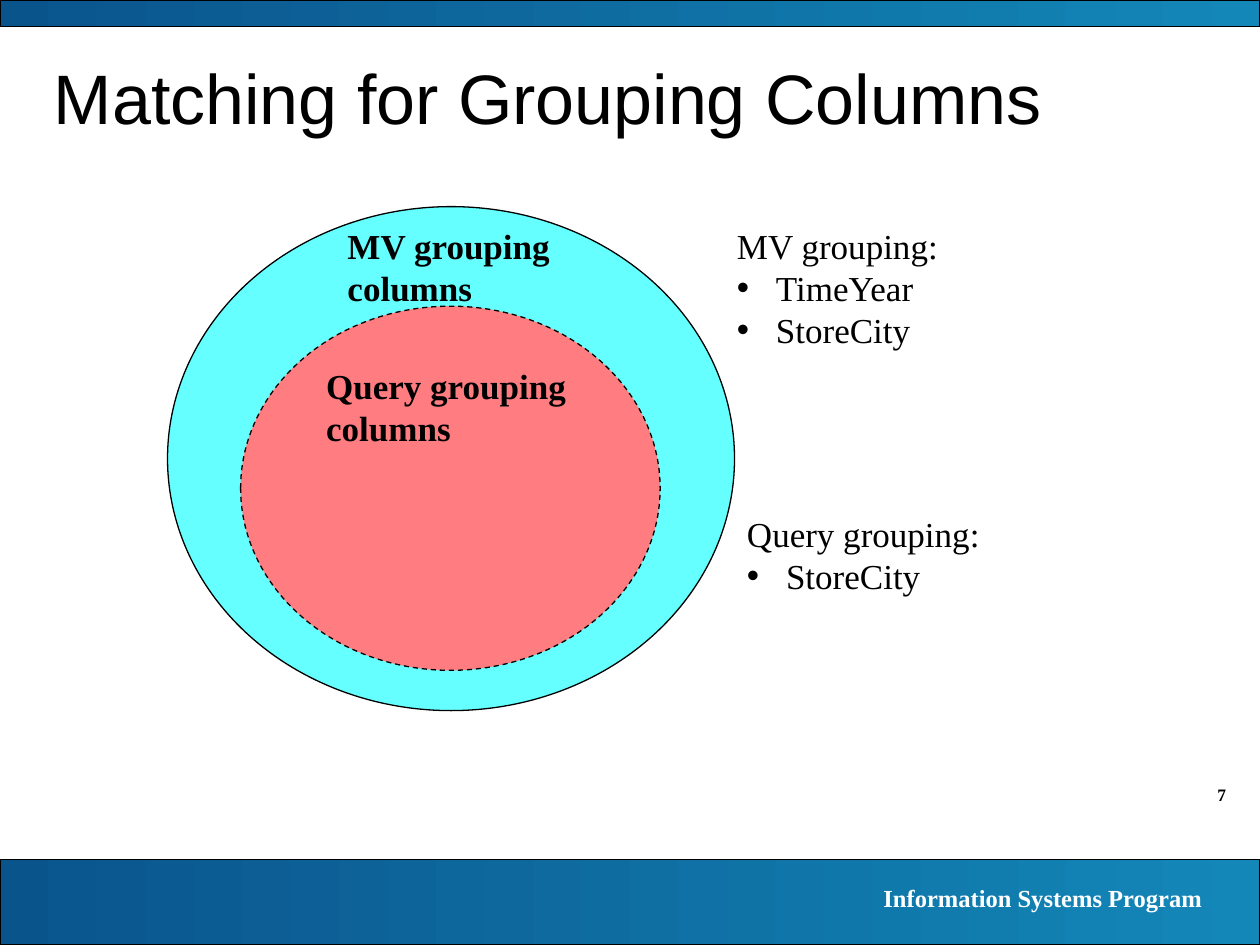
from lxml import etree
from pptx import Presentation
from pptx.dml.color import RGBColor
from pptx.enum.dml import MSO_LINE
from pptx.enum.shapes import MSO_SHAPE
from pptx.enum.text import PP_ALIGN
from pptx.oxml.ns import qn
from pptx.util import Inches, Pt

RECTANGLE = MSO_SHAPE.RECTANGLE
ELLIPSE = MSO_SHAPE.OVAL
DASH = MSO_LINE.DASH
LEFT = PP_ALIGN.LEFT
RIGHT = PP_ALIGN.RIGHT

BLACK = RGBColor(0x00, 0x00, 0x00)
WHITE = RGBColor(0xFF, 0xFF, 0xFF)
DARK_BLUE = RGBColor(0x0A, 0x54, 0x8C)
LIGHT_BLUE = RGBColor(0x13, 0x87, 0xB8)
CYAN = RGBColor(0x66, 0xFF, 0xFF)
CORAL = RGBColor(0xFF, 0x7C, 0x80)

BODY = {"name": "Times New Roman", "size": Pt(20), "bold": False}
LABEL = {**BODY, "bold": True}
TITLE = {"name": "Arial", "size": Pt(40), "bold": False}
FOOTER = {**LABEL, "size": Pt(14)}
PAGE_NUMBER = {**LABEL, "size": Pt(10)}
BULLET_INDENT = Inches(0.31)


def to_inches(box):
    return [Inches(value) for value in box]


def add_outlined_shape(slide, kind, box):
    shape = slide.shapes.add_shape(kind, *to_inches(box))
    shape.shadow.inherit = False
    shape.line.color.rgb = BLACK
    shape.line.width = Pt(0.75)
    return shape


def add_band(slide, box):
    fill = add_outlined_shape(slide, RECTANGLE, box).fill
    fill.gradient()
    fill.gradient_angle = 0
    for stop, color, position in zip(fill.gradient_stops, (DARK_BLUE, LIGHT_BLUE), (0, 1)):
        stop.color.rgb = color
        stop.position = position


def add_set(slide, box, color, dash=None):
    shape = add_outlined_shape(slide, ELLIPSE, box)
    shape.fill.solid()
    shape.fill.fore_color.rgb = color
    if dash:
        shape.line.dash_style = dash


def add_paragraph(paragraph, text, font, color, alignment):
    paragraph.alignment = alignment
    run = paragraph.add_run()
    run.text = text
    for name, value in font.items():
        setattr(run.font, name, value)
    run.font.color.rgb = color


def add_text(slide, box, text, font, color=BLACK, alignment=LEFT):
    frame = slide.shapes.add_textbox(*to_inches(box)).text_frame
    frame.word_wrap = True
    add_paragraph(frame.paragraphs[0], text, font, color, alignment)
    return frame


def add_bullet_list(slide, box, heading, items):
    frame = add_text(slide, box, heading, BODY)
    for item in items:
        paragraph = frame.add_paragraph()
        add_paragraph(paragraph, item, BODY, BLACK, LEFT)
        properties = paragraph._p.get_or_add_pPr()
        properties.set("marL", str(BULLET_INDENT))
        properties.set("indent", str(-BULLET_INDENT))
        etree.SubElement(properties, qn("a:buFont"), typeface="Arial")
        etree.SubElement(properties, qn("a:buChar"), char="•")


def add_frame(slide):
    add_text(slide, (9, 6.17, 0.83, 0.27), "7", PAGE_NUMBER, alignment=RIGHT)
    add_band(slide, (0, 6.82, 10, 0.68))
    add_band(slide, (0, 0, 10, 0.21))
    add_text(slide, (5.55, 6.96, 4.09, 0.34), "Information Systems Program", FOOTER, WHITE, RIGHT)


def add_title(slide, box):
    frame = add_text(slide, box, "Matching for Grouping Columns", TITLE)
    frame.margin_top = Inches(0.1)


def add_set_diagram(slide, box):
    left, top, width, height = box
    add_set(slide, box, CYAN)
    add_set(slide, (left + 0.58, top + 0.79, width - 1.17, height - 1.11), CORAL, DASH)
    add_text(slide, (left + 1.16, top + 1.2, 2.76, 0.77), "Query grouping columns", LABEL)
    add_text(slide, (left + 1.33, top + 0.09, 2.5, 0.77), "MV grouping columns", LABEL)


def main():
    presentation = Presentation()
    presentation.slide_width = Inches(10)
    presentation.slide_height = Inches(7.5)
    slide = presentation.slides.add_slide(presentation.slide_layouts[6])
    add_frame(slide)
    add_title(slide, (0.33, 0.33, 9.17, 0.75))
    add_set_diagram(slide, (1.33, 1.64, 4.5, 4))
    add_bullet_list(slide, (5.75, 1.73, 2.92, 1.11), "MV grouping:", ("TimeYear", "StoreCity"))
    add_bullet_list(slide, (5.83, 4.02, 2.92, 0.77), "Query grouping:", ("StoreCity",))
    presentation.save("out.pptx")


if __name__ == "__main__":
    main()
